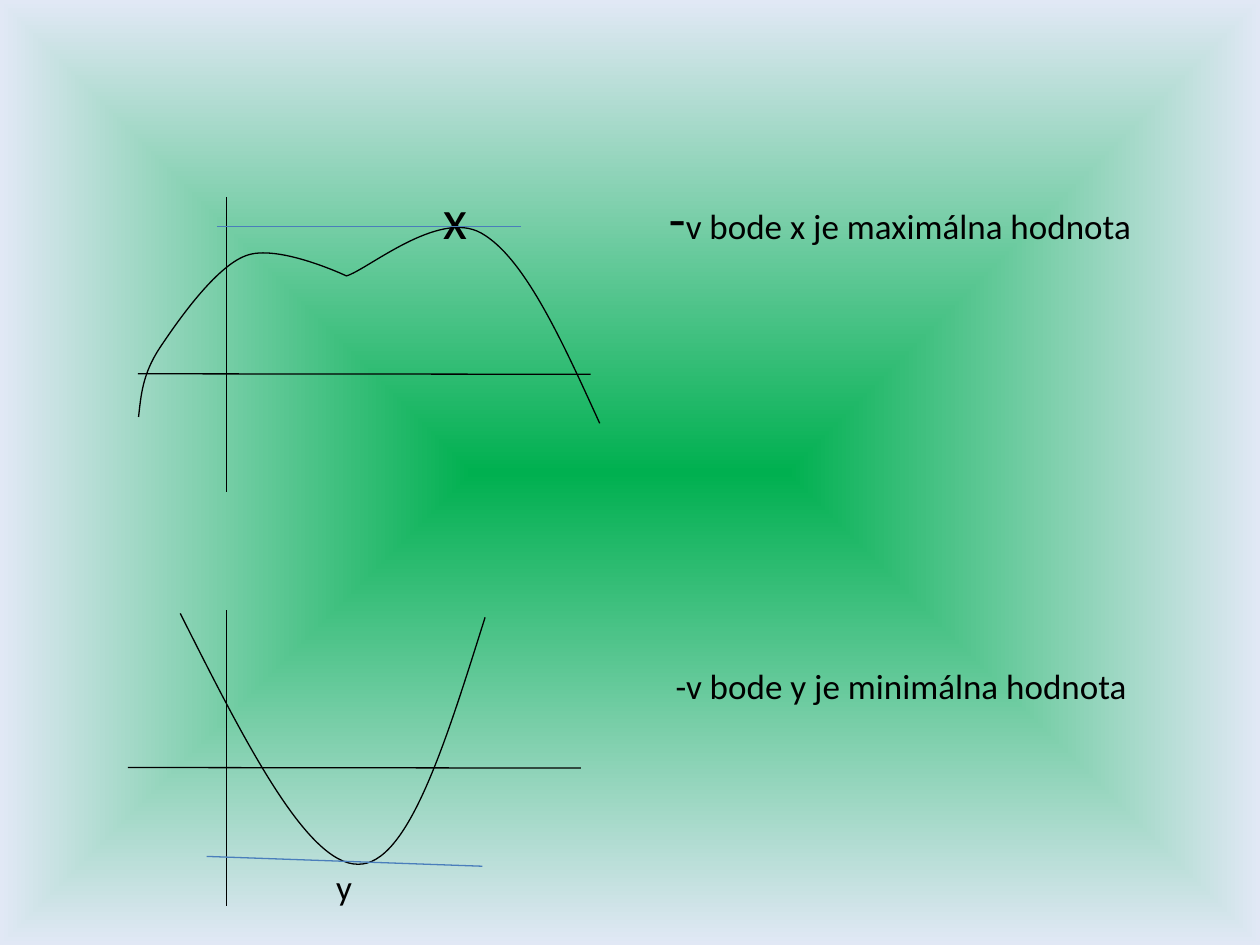
"""Build a slide with two function graphs showing a maximum and a minimum."""
from lxml import etree
from pptx import Presentation
from pptx.dml.color import RGBColor
from pptx.enum.shapes import MSO_CONNECTOR as Connector
from pptx.oxml.ns import qn
from pptx.util import Pt

BLACK = RGBColor(0x00, 0x00, 0x00)
BLUE = RGBColor(0x4A, 0x7E, 0xBB)
GREEN = RGBColor(0x00, 0xB0, 0x50)
PALE = RGBColor(0xE1, 0xE8, 0xF5)


def draw_line(page, ends, color):
    line = page.shapes.add_connector(Connector.STRAIGHT, *map(Pt, ends))
    line.line.color.rgb = color
    line.line.width = Pt(0.75)
    etree.SubElement(line._element.spPr, qn("a:effectLst"))


def draw_curve(page, points):
    start, *rest = [(Pt(x), Pt(y)) for x, y in points]
    builder = page.shapes.build_freeform(*start)
    builder.add_line_segments(rest, close=False)
    curve = builder.convert_to_shape()
    curve.shadow.inherit = False
    curve.fill.background()
    curve.line.color.rgb = BLACK
    curve.line.width = Pt(0.75)
    segments = list(curve._element.iter(qn("a:lnTo")))
    for first in range(0, len(segments), 3):
        bezier = etree.Element(qn("a:cubicBezTo"))
        segments[first].addprevious(bezier)
        for segment in segments[first:first + 3]:
            bezier.append(segment[0])
            segment.getparent().remove(segment)


deck = Presentation()
deck.slide_width, deck.slide_height = Pt(720), Pt(540)
page = deck.slides.add_slide(deck.slide_layouts[6])

fill = page.background.fill
fill.gradient()
for stop, color in zip(fill.gradient_stops, (GREEN, PALE)):
    stop.color.rgb = color
gradient = next(page.element.iter(qn("a:gradFill")))
direction = gradient.find(qn("a:lin"))
shading = etree.Element(qn("a:path"), path="rect")
etree.SubElement(shading, qn("a:fillToRect"), l="50000", t="50000", r="50000", b="50000")
gradient.replace(direction, shading)

box = page.shapes.add_textbox(Pt(36), Pt(101.5), Pt(648), Pt(422))
frame = box.text_frame
frame.word_wrap = True
LINES = [
    ((210, 339), 0, [("\tx\t-", 32), ("v bode x je maximálna hodnota", 20)]),
    ((343,), 236, [("\t-v bode y je minimálna hodnota", 20)]),
    ((149,), 91, [("\ty", 20)]),
]
for index, (stops, gap, spans) in enumerate(LINES):
    para = frame.add_paragraph() if index else frame.paragraphs[0]
    if gap:
        para.space_before = Pt(gap)
    tabs = etree.SubElement(para._p.get_or_add_pPr(), qn("a:tabLst"))
    for stop in stops:
        etree.SubElement(tabs, qn("a:tab"), pos=str(Pt(stop)), algn="l")
    para.font.name = "Calibri"
    para.font.color.rgb = BLACK
    for text, size in spans:
        span = para.add_run()
        span.text = text
        span.font.size = Pt(size)

MAXIMUM_CURVE = [
    (79.2, 238.3),
    (80.6, 226.1), (81.4, 213.8), (91.4, 198.7),
    (101.5, 183.6), (123.1, 152.6), (140.4, 146.2),
    (158.4, 139), (198, 157.7), (198, 157.7),
    (210.2, 154.1), (250.6, 119.5), (275, 133.2),
    (299.5, 146.9), (321.1, 194.4), (342.7, 241.9),
]
MINIMUM_CURVE = [
    (103, 350.6),
    (139, 421.9), (175, 493.9), (204.5, 493.9),
    (233.3, 494.6), (254.9, 423.4), (277.2, 352.8),
]
GRAPHS = [
    ((78.8, 213.6, 337.5, 213.9), (129.4, 112.5, 129.4, 281.3),
     MAXIMUM_CURVE, (124, 129.4, 298, 129.4)),
    ((73.1, 438.6, 331.9, 438.9), (129.4, 348.8, 129.4, 517.5),
     MINIMUM_CURVE, (118.1, 489.4, 275.6, 495)),
]
for x_axis, y_axis, curve_points, tangent in GRAPHS:
    draw_line(page, x_axis, BLACK)
    draw_line(page, y_axis, BLACK)
    draw_curve(page, curve_points)
    draw_line(page, tangent, BLUE)

deck.save("out.pptx")
